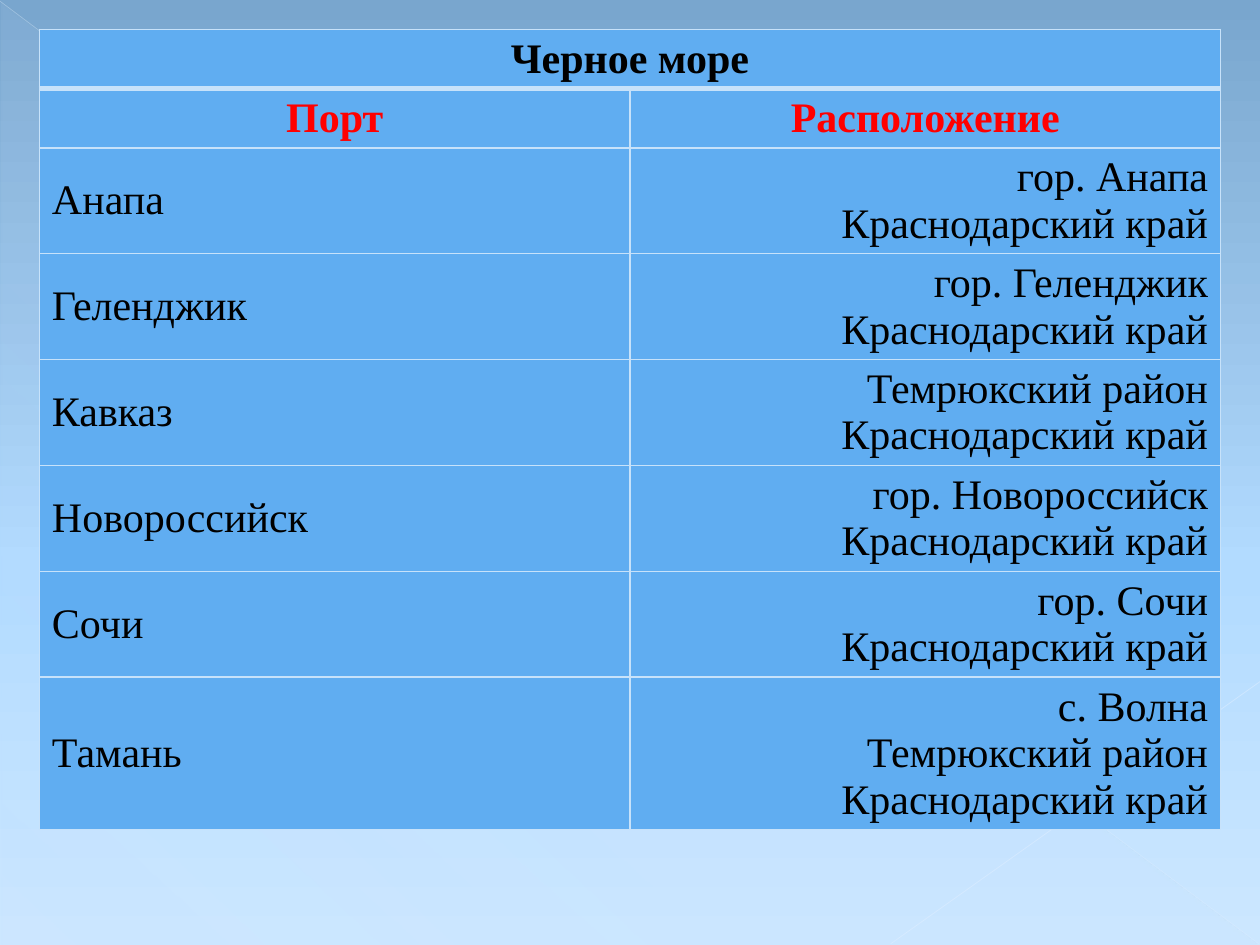
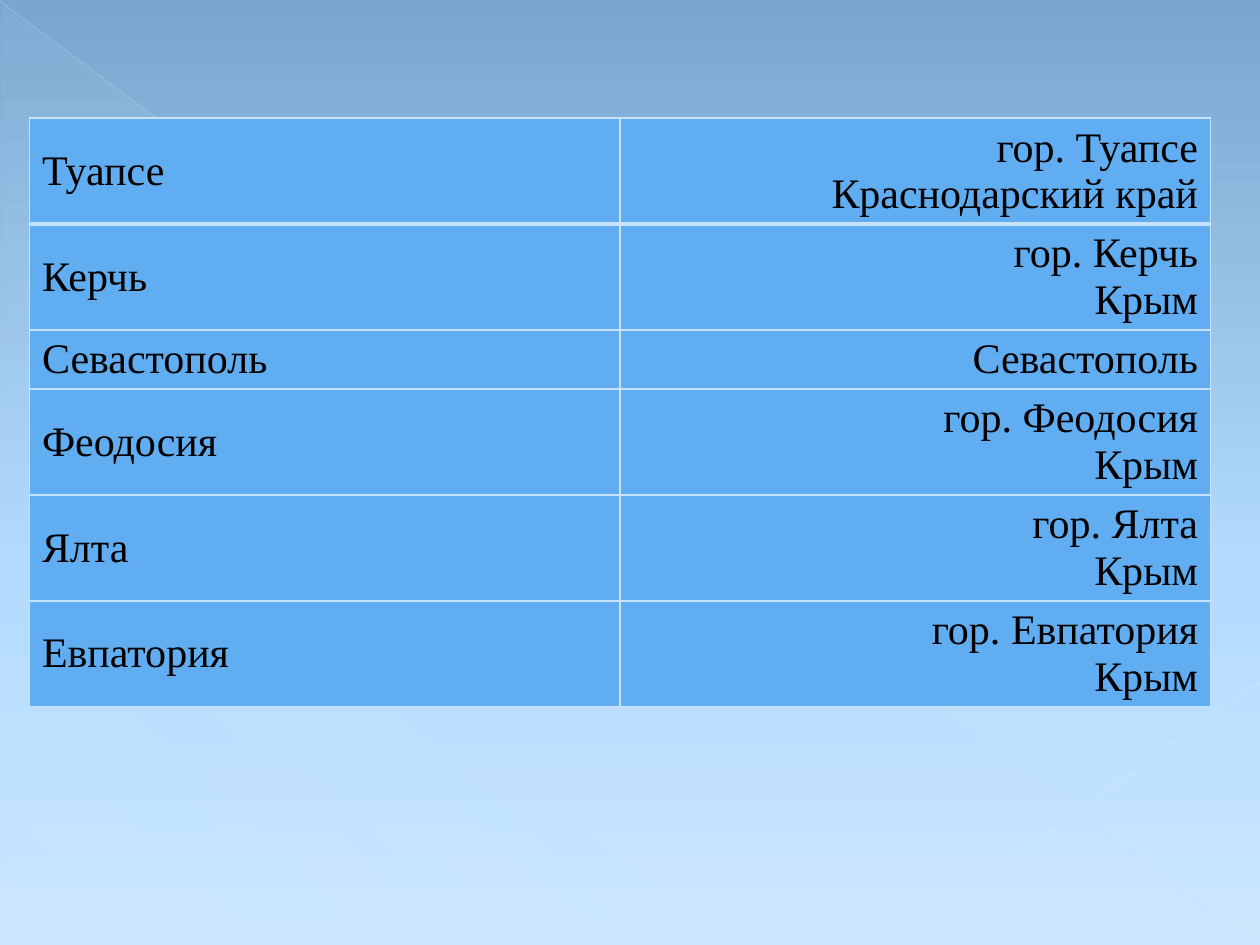
import dataclasses
import lxml.etree
import pptx
import pptx.dml.color
import pptx.enum.shapes
import pptx.enum.text
import pptx.oxml.ns
import pptx.util

Pt = pptx.util.Pt
RGB = pptx.dml.color.RGBColor.from_string
Align = pptx.enum.text.PP_ALIGN
Kind = pptx.enum.shapes.MSO_SHAPE
qn = pptx.oxml.ns.qn


@dataclasses.dataclass(frozen=True)
class Theme:
    font: str = "Times New Roman"
    size: float = 24
    line: float = 26.65      # height of one text line
    pad: float = 7.2         # cell padding, top and bottom together
    ink: str = "000000"
    head: str = "FF0000"
    cell: str = "60ADF1"
    edge: str = "C7E2FA"
    thin: float = 1
    thick: float = 3
    sky: tuple = ((0, "79A6CE", 100), (60, "B2DBFF", 100), (100, "CCE7FF", 100))
    haze: tuple = ((0, "C7E2FA", 10), (70, "C7E2FA", 8), (100, "C7E2FA", 1))


theme = Theme()


def tag(node, name, **attrs):
    """Add a drawing element with its attributes."""
    return lxml.etree.SubElement(node, qn("a:" + name),
                                 {key: str(val) for key, val in attrs.items()})


def tint(node, color, alpha=100):
    clr = tag(node, "srgbClr", val=color)
    if alpha < 100:
        tag(clr, "alpha", val=alpha * 1000)


def blend(fill, node, stops, angle):
    """Give a fill, held in node, the gradient stops and angle."""
    fill.gradient()
    grad = node.find(".//" + qn("a:gradFill"))
    group = grad.find(qn("a:gsLst"))
    for stop in list(group):
        group.remove(stop)
    for pos, color, alpha in stops:
        tint(tag(group, "gs", pos=pos * 1000), color, alpha)
    grad.find(qn("a:lin")).set("ang", str(angle * 60000))


def ray(slide, start, end, color, width, alpha):
    """Draw one faint diagonal line."""
    line = slide.shapes.add_connector(
        pptx.enum.shapes.MSO_CONNECTOR.STRAIGHT,
        *(Pt(val) for val in start + end))
    line.line.width = Pt(width)
    line.line.color.rgb = RGB(color)
    clr = line.element.spPr.find(".//" + qn("a:srgbClr"))
    tag(clr, "alpha", val=alpha * 1000)
    tag(line.element.spPr, "effectLst")
    return line


def scene(master, slide, wide, high):
    """Put the sky, haze and rays on the master, drawn first on a slide."""
    blend(master.background.fill, master.element, theme.sky, 90)
    haze = slide.shapes.add_shape(Kind.RIGHT_TRIANGLE, Pt(0.7), Pt(1.4),
                                  Pt(wide - 1.4), Pt(high - 1.4))
    haze.shadow.inherit = False
    haze.line.fill.background()
    blend(haze.fill, haze.element, theme.haze, 133)
    parts = (
        haze,
        ray(slide, (0, 0.7), (wide - 0.7, high - 0.7), "E0F0FF", 0.39, 35),
        ray(slide, (wide, 389.5), (509, high - 0.7), "E3F1FF", 0.47, 45))
    tree = master.shapes.element
    for spot, part in enumerate(parts, 2):
        tree.insert(spot, part.element)


def edges(cell, top, bottom):
    """Line the four sides of a cell."""
    props = cell._tc.get_or_add_tcPr()
    sides = {"lnL": theme.thin, "lnR": theme.thin, "lnT": top, "lnB": bottom}
    for spot, (side, width) in enumerate(sides.items()):
        line = tag(props, side, w=Pt(width))
        tint(tag(line, "solidFill"), theme.edge)
        props.insert(spot, line)


def write(cell, text, align, color, bold):
    """Set the text of a cell, one run for each line."""
    cell.vertical_anchor = pptx.enum.text.MSO_ANCHOR.MIDDLE
    para = cell.text_frame.paragraphs[0]
    para.alignment = align
    for num, words in enumerate(text.split("\n")):
        if num:
            para.add_line_break()
        run = para.add_run()
        run.text = words
        font = run.font
        font.name, font.size, font.bold = theme.font, Pt(theme.size), bold
        font.color.rgb = RGB(color)


def ports(slide, box, rows, title=None):
    """Table of ports; a title adds a merged row and a heading row."""
    left, top, wide = box
    heads = [(title, ""), ("Порт", "Расположение")] if title else []
    rows = heads + rows
    highs = [theme.pad + theme.line * (row[1].count("\n") + 1) for row in rows]
    table = slide.shapes.add_table(len(rows), 2, Pt(left), Pt(top), Pt(wide),
                                   Pt(sum(highs))).table
    table.first_row = table.horz_banding = False
    if title:
        table.cell(0, 0).merge(table.cell(0, 1))
    for num, (row, high) in enumerate(zip(rows, highs)):
        table.rows[num].height = Pt(high)
        for col, text in enumerate(row):
            cell = table.cell(num, col)
            cell.fill.solid()
            cell.fill.fore_color.rgb = RGB(theme.cell)
            edges(cell, theme.thick if num == 1 else theme.thin,
                  theme.thick if num == 0 else theme.thin)
            if not text:
                continue
            if num < len(heads):
                color = theme.head if num else theme.ink
                write(cell, text, Align.CENTER, color, True)
            else:
                align = Align.RIGHT if col else Align.LEFT
                write(cell, text, align, theme.ink, False)


KRAI = "\nКраснодарский край"
CRIMEA = "\nКрым"
TEMRYUK = "Темрюкский район" + KRAI


def town(name, land):
    return name, "гор. " + name + land


EAST = [
    town("Анапа", KRAI),
    town("Геленджик", KRAI),
    ("Кавказ", TEMRYUK),
    town("Новороссийск", KRAI),
    town("Сочи", KRAI),
    ("Тамань", "с. Волна\n" + TEMRYUK),
]
WEST = [
    town("Туапсе", KRAI),
    town("Керчь", CRIMEA),
    ("Севастополь", "Севастополь"),
    town("Феодосия", CRIMEA),
    town("Ялта", CRIMEA),
    town("Евпатория", CRIMEA),
]

deck = pptx.Presentation()
deck.slide_width, deck.slide_height = Pt(720), Pt(540)
blank = deck.slide_layouts[6]

# First slide, with the shared backdrop
first = deck.slides.add_slide(blank)
scene(deck.slide_master, first, 720, 540)
ports(first, (22.5, 16.8, 675), EAST, "Черное море")

# Second slide, the table goes on
second = deck.slides.add_slide(blank)
ports(second, (16.8, 67.5, 675), WEST)

deck.save("out.pptx")
